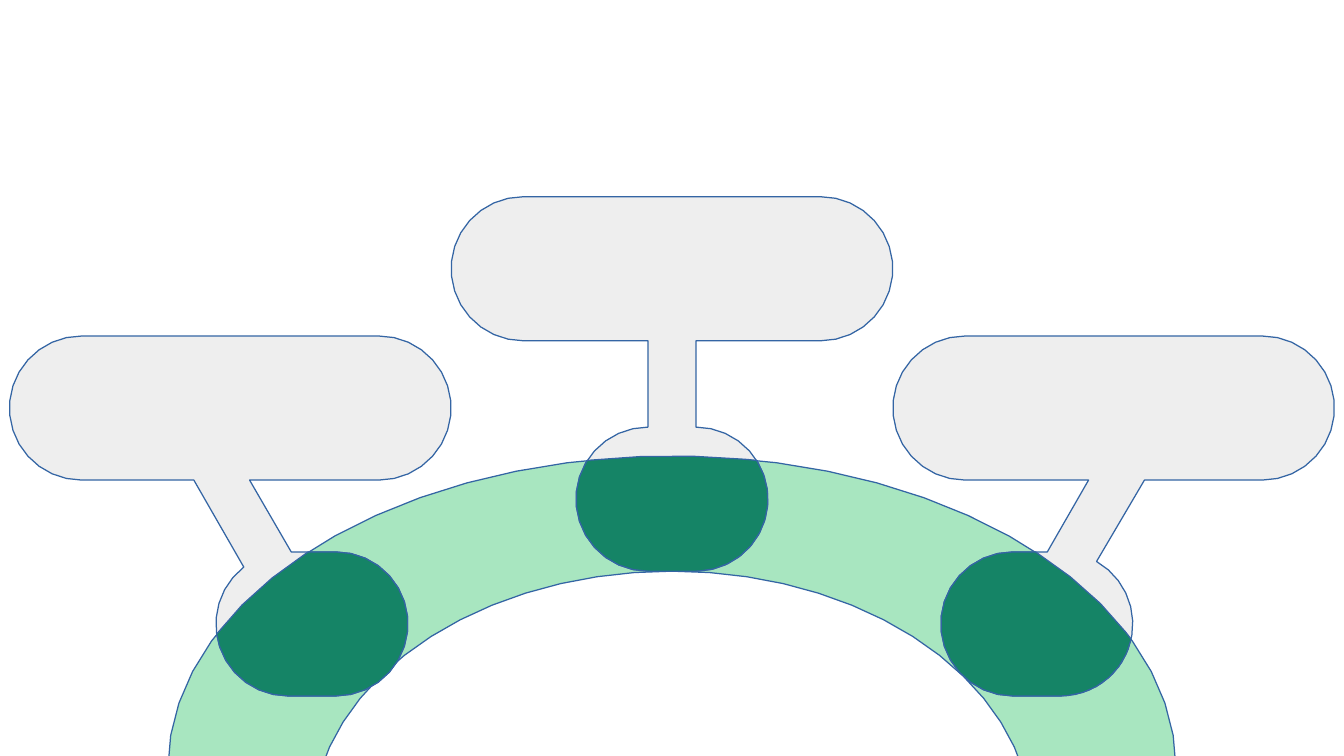
from dataclasses import dataclass
from math import asin, cos, degrees, hypot, radians, sin

from pptx import Presentation
from pptx.dml.color import RGBColor
from pptx.util import Pt


@dataclass(frozen=True)
class Theme:
    ring: RGBColor = RGBColor.from_string("A8E6C0")
    callout: RGBColor = RGBColor.from_string("EEEEEE")
    pad: RGBColor = RGBColor.from_string("158466")
    outline: RGBColor = RGBColor.from_string("3465A4")


THEME = Theme()
SLIDE_W, SLIDE_H = 793.7, 446.46
MID_X = SLIDE_W / 2
RADIUS = 42.52
LABEL_FLAT = 87.9  # half of a label's straight edge
PAD_FLAT = 14.17   # half of a pad's straight edge
LABEL_PITCH = 2 * (LABEL_FLAT + RADIUS)
RING_STEP, END_STEP = 6, 12  # degrees between corners

# Centre x, centre y, horizontal radius, vertical radius
OUTER = (MID_X, 453.54, 297.64, 184.25)
INNER = (MID_X, 487.56, 212.6, 150.23)


@dataclass(frozen=True)
class Branch:
    label: tuple     # centre of the label
    pad: tuple       # centre of the pad on the ring
    stem_top: tuple  # left and right x where the stem leaves the label
    stem_foot: tuple  # left and right x where it meets the pad


LEFT = Branch((MID_X - LABEL_PITCH, 241), (184.25, 368.5),
              (114.5, 147.4), (144, 172))
TOP = Branch((MID_X, 158.74), (MID_X, 294.8),
             (MID_X - PAD_FLAT, MID_X + PAD_FLAT),
             (MID_X - PAD_FLAT, MID_X + PAD_FLAT))
RIGHT = Branch((MID_X + LABEL_PITCH, 241), (612.28, 368.5),
               (642.9, 675.9), (618.5, 647.6))


def arc(ellipse, start, end, step=END_STEP):
    """Points along an ellipse; angles in degrees, clockwise from the right."""
    cx, cy, rx, ry = ellipse
    count = max(1, round(abs(end - start) / step))
    angles = [radians(start + (end - start) * i / count)
              for i in range(count + 1)]
    return [(cx + rx * cos(a), cy + ry * sin(a)) for a in angles]


def clipped_arc(ellipse, start, end, step, inside):
    """The part of an arc that lies inside, with close-fitting end points."""
    fine_per_step = 60
    fine = arc(ellipse, start, end, step / fine_per_step)
    kept = list(filter(inside, fine))
    return kept[:-1:fine_per_step] + kept[-1:]


def capsule_ends(centre, flat):
    """Circles at the left and right end of a capsule."""
    x, y = centre
    return (x - flat, y, RADIUS, RADIUS), (x + flat, y, RADIUS, RADIUS)


def ring_outline():
    return arc(OUTER, 90, 450, RING_STEP) + arc(INNER, 450, 90, RING_STEP)


def callout_outline(branch):
    """Label, stem and pad as a single clockwise outline."""
    label_left, label_right = capsule_ends(branch.label, LABEL_FLAT)
    pad_left, pad_right = capsule_ends(branch.pad, PAD_FLAT)
    foot_left, foot_right = branch.stem_foot
    cut_left = degrees(asin(max(0, pad_left[0] - foot_left) / RADIUS))
    cut_right = degrees(asin(max(0, foot_right - pad_right[0]) / RADIUS))
    pad_top = branch.pad[1] - RADIUS
    label_bottom = branch.label[1] + RADIUS

    def foot(x, cut):
        return x, pad_top + RADIUS * (1 - cos(radians(cut)))

    return (arc(label_left, 90, 270) + arc(label_right, -90, 90)
            + [(branch.stem_top[1], label_bottom), foot(foot_right, cut_right)]
            + arc(pad_right, cut_right - 90, 90)
            + arc(pad_left, 90, 270 - cut_left)
            + [foot(foot_left, cut_left), (branch.stem_top[0], label_bottom)])


def pad_outline(centre):
    """The part of a pad that lies within the ring's outer edge."""
    left, right = capsule_ends(centre, PAD_FLAT)
    cx, cy, rx, ry = OUTER

    def in_ring(point):
        return hypot((point[0] - cx) / rx, (point[1] - cy) / ry) <= 1

    def in_pad(point):
        beyond_flat = max(0, abs(point[0] - centre[0]) - PAD_FLAT)
        return hypot(beyond_flat, point[1] - centre[1]) <= RADIUS

    return (clipped_arc(right, -90, 90, END_STEP, in_ring)
            + clipped_arc(left, 90, 270, END_STEP, in_ring)
            + clipped_arc(OUTER, 180, 360, RING_STEP, in_pad))


def add_outline(slide, points, colour):
    corners = [(Pt(x), Pt(y)) for x, y in points]
    builder = slide.shapes.build_freeform(*corners[0], scale=1.0)
    builder.add_line_segments(corners[1:], close=True)
    shape = builder.convert_to_shape()
    shape.shadow.inherit = False
    shape.fill.solid()
    shape.fill.fore_color.rgb = colour
    shape.line.color.rgb = THEME.outline
    shape.line.width = Pt(0)


def main():
    deck = Presentation()
    deck.slide_width, deck.slide_height = Pt(SLIDE_W), Pt(SLIDE_H)
    slide = deck.slides.add_slide(deck.slide_layouts[6])

    add_outline(slide, ring_outline(), THEME.ring)
    for branch in (RIGHT, TOP, LEFT):
        add_outline(slide, callout_outline(branch), THEME.callout)
    for branch in (LEFT, TOP, RIGHT):
        add_outline(slide, pad_outline(branch.pad), THEME.pad)

    deck.save("out.pptx")


if __name__ == "__main__":
    main()
